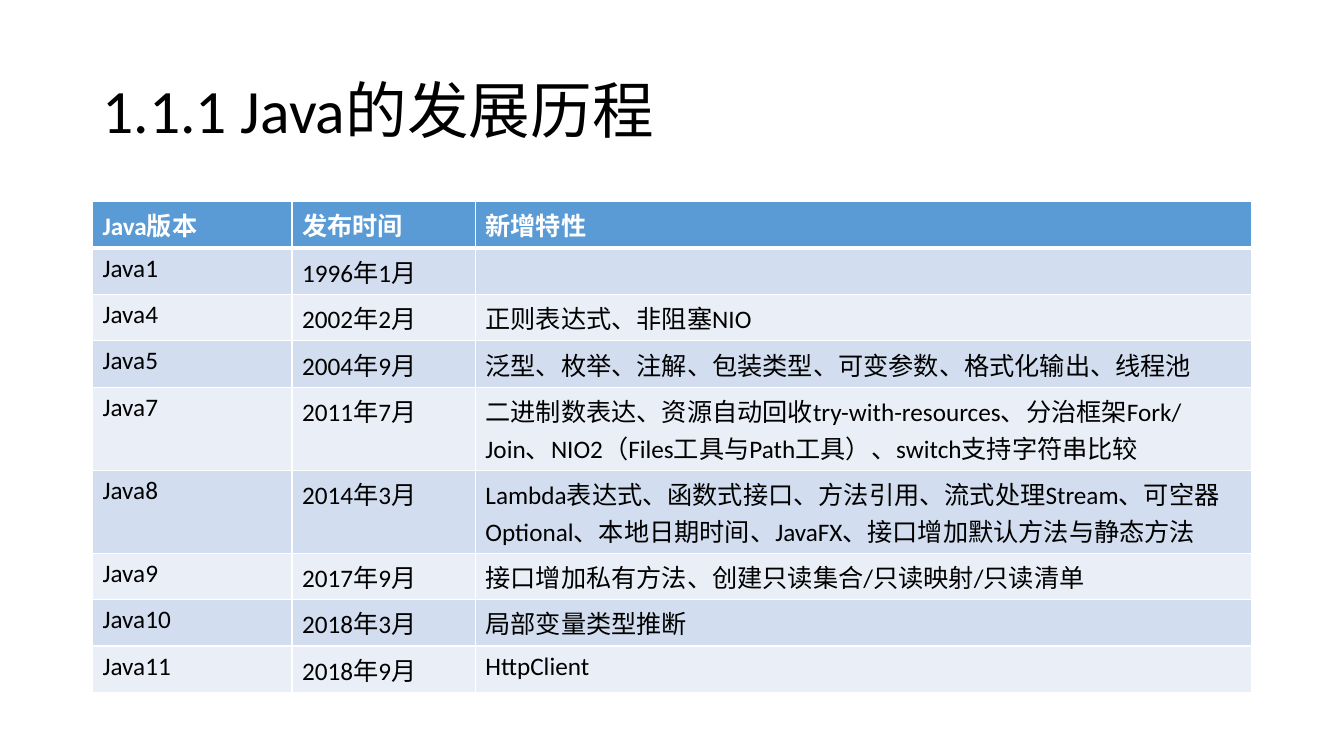
from dataclasses import dataclass

from lxml.etree import SubElement
from pptx import Presentation
from pptx.dml.color import RGBColor
from pptx.enum.lang import MSO_LANGUAGE_ID
from pptx.enum.text import MSO_ANCHOR
from pptx.oxml.ns import qn
from pptx.util import Cm, Pt

TITLE = "1.1.1 Java的发展历程"
HEADINGS = ("Java版本", "发布时间", "新增特性")
RELEASES = [
    ("Java1", "1996年1月", ""),
    ("Java4", "2002年2月", "正则表达式、非阻塞NIO"),
    ("Java5", "2004年9月", "泛型、枚举、注解、包装类型、可变参数、格式化输出、线程池"),
    ("Java7", "2011年7月",
     "二进制数表达、资源自动回收try-with-resources、分治框架Fork/Join、"
     "NIO2（Files工具与Path工具）、switch支持字符串比较"),
    ("Java8", "2014年3月",
     "Lambda表达式、函数式接口、方法引用、流式处理Stream、可空器Optional、"
     "本地日期时间、JavaFX、接口增加默认方法与静态方法"),
    ("Java9", "2017年9月", "接口增加私有方法、创建只读集合/只读映射/只读清单"),
    ("Java10", "2018年3月", "局部变量类型推断"),
    ("Java11", "2018年9月", "HttpClient"),
]


@dataclass(frozen=True)
class Theme:
    """Colours, font and type sizes of the slide."""
    font: str = "Calibri"
    title_size: int = 44
    table_size: int = 18
    text: str = "000000"
    header_text: str = "FFFFFF"
    header_fill: str = "5B9BD5"
    bands: tuple = ("D2DEEF", "EAEFF7")
    border: str = "FFFFFF"
    thin: int = 1
    thick: int = 3


THEME = Theme()
LEFT, WIDTH = Cm(2.33), Cm(29.21)
TITLE_TOP, TITLE_HEIGHT = Cm(1.01), Cm(3.68)
TABLE_TOP = Cm(5.08)
ONE_LINE_ROW, TWO_LINE_ROW = Cm(1.17), Cm(2.09)
CHARACTERS_PER_LINE = 40
COLUMN_WIDTHS = (Cm(5.03), Cm(4.62), Cm(19.56))


def add_run(para, text, size, color, bold=False):
    """Add one styled run to a paragraph."""
    span = para.add_run()
    span.text = text
    span.font.name = THEME.font
    span.font.size = Pt(size)
    span.font.bold = bold
    span.font.color.rgb = RGBColor.from_string(color)
    span.font.language_id = MSO_LANGUAGE_ID.SIMPLIFIED_CHINESE


def add_title(page):
    """Add the slide heading, centred vertically in its box."""
    box = page.shapes.add_textbox(LEFT, TITLE_TOP, WIDTH, TITLE_HEIGHT)
    frame = box.text_frame
    frame.word_wrap = True
    frame.vertical_anchor = MSO_ANCHOR.MIDDLE
    para = frame.paragraphs[0]
    para.line_spacing = 0.9
    add_run(para, TITLE, THEME.title_size, THEME.text)


def set_borders(cell, top, bottom):
    """Draw the four cell borders; the sides are always thin."""
    properties = cell._tc.get_or_add_tcPr()
    sides = {"L": THEME.thin, "R": THEME.thin, "T": top, "B": bottom}
    for side, width in sides.items():
        line = SubElement(properties, qn(f"a:ln{side}"), w=str(Pt(width)))
        fill = SubElement(line, qn("a:solidFill"))
        SubElement(fill, qn("a:srgbClr"), val=THEME.border)


def style_cell(cell, text, row_index):
    """Write and colour a cell as header or as banded body."""
    header = row_index == 0
    # Borders must precede the fill in the cell properties.
    set_borders(cell,
                top=THEME.thick if row_index == 1 else THEME.thin,
                bottom=THEME.thick if header else THEME.thin)
    fill = THEME.header_fill if header else THEME.bands[(row_index - 1) % 2]
    cell.fill.solid()
    cell.fill.fore_color.rgb = RGBColor.from_string(fill)
    if text:
        color = THEME.header_text if header else THEME.text
        add_run(cell.text_frame.paragraphs[0], text, THEME.table_size, color, header)


def row_height(texts):
    """Give a row room for one or two lines of features."""
    return TWO_LINE_ROW if len(texts[-1]) > CHARACTERS_PER_LINE else ONE_LINE_ROW


def add_release_table(page):
    """Add the table of Java versions."""
    rows = [HEADINGS, *RELEASES]
    heights = [row_height(texts) for texts in rows]
    table = page.shapes.add_table(len(rows), len(HEADINGS), LEFT, TABLE_TOP,
                                  WIDTH, sum(heights)).table
    for column, width in zip(table.columns, COLUMN_WIDTHS):
        column.width = width
    for row_index, texts in enumerate(rows):
        table.rows[row_index].height = heights[row_index]
        for column_index, text in enumerate(texts):
            style_cell(table.cell(row_index, column_index), text, row_index)


def main():
    """Build and save the deck."""
    deck = Presentation()
    deck.slide_width, deck.slide_height = Cm(33.87), Cm(19.05)
    page = deck.slides.add_slide(deck.slide_layouts[6])
    add_title(page)
    add_release_table(page)
    deck.save("out.pptx")


main()
